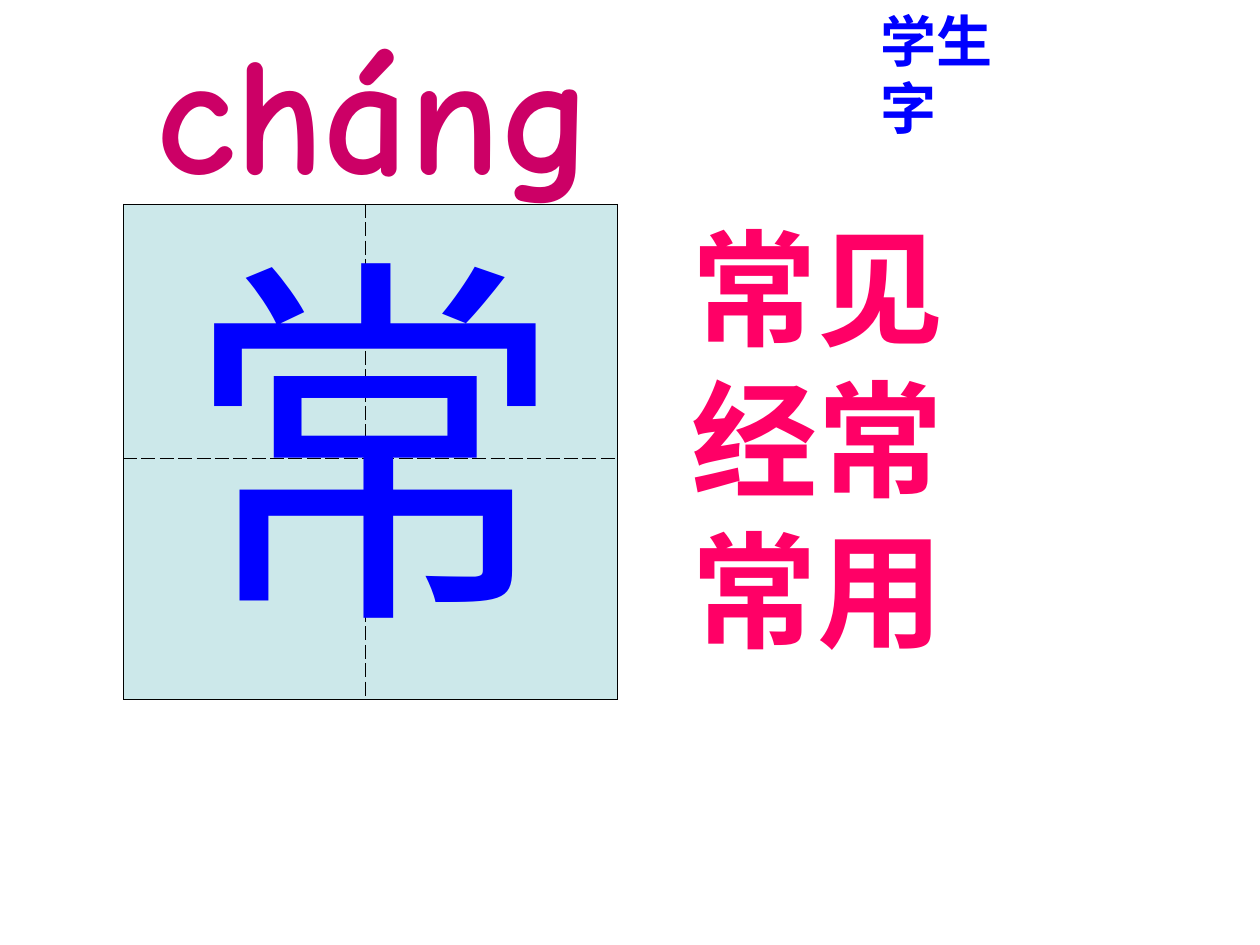
from lxml import etree
from pptx import Presentation
from pptx.dml.color import RGBColor
from pptx.enum.text import MSO_AUTO_SIZE as AUTO
from pptx.oxml.ns import qn
from pptx.util import Inches, Pt


def rgb(value):
    return RGBColor.from_string(value)


def add_border(cell, side, dash):
    ln = etree.SubElement(cell._tc.get_or_add_tcPr(), qn(f"a:ln{side}"), w=str(Pt(0.45)))
    fill = etree.SubElement(ln, qn("a:solidFill"))
    etree.SubElement(fill, qn("a:srgbClr"), val="000000")
    etree.SubElement(ln, qn("a:prstDash"), val=dash)


prs = Presentation()
prs.slide_width, prs.slide_height = Inches(10), Inches(7.5)
s = prs.slides.add_slide(prs.slide_layouts[6])

# Writing grid: solid outside, dashed cross inside
cols, rows = [1.92, 2], [2.02, 1.91]
table = s.shapes.add_table(2, 2, Inches(0.98), Inches(1.62),
                           Inches(sum(cols)), Inches(sum(rows))).table
table.first_row = table.horz_banding = False
for i in range(2):
    table.columns[i].width = Inches(cols[i])
    table.rows[i].height = Inches(rows[i])
for row in range(2):
    for col in range(2):
        cell = table.cell(row, col)
        inner = {"R" if col == 0 else "L", "B" if row == 0 else "T"}
        for side in "LRTB":
            add_border(cell, side, "dash" if side in inner else "solid")
        cell.fill.solid()
        cell.fill.fore_color.rgb = rgb("CCE8EA")

# Pinyin, character, example words and heading: box, wrap, lines, colour, font
texts = [
    ((1.14, 0, 4.65, 1.7), True, ["cháng"], "CC0066",
     dict(name="Comic Neue", size=Pt(96), bold=True)),
    ((1.34, 1.56, 3.25, 3.77), False, ["常"], "0000FF",
     dict(name="Arial", size=Pt(220), bold=False)),
    ((5.39, 1.62, 4.25, 3.7), True, ["常见", "经常", "常用"], "FF0066",
     dict(name="Arial", size=Pt(72), bold=True)),
    ((6.89, 0, 1.53, 0.64), False, ["学生字"], "0000FF",
     dict(name="Times New Roman", size=Pt(32), bold=True)),
]
for box, wrap, lines, color, style in texts:
    tf = s.shapes.add_textbox(*map(Inches, box)).text_frame
    tf.word_wrap = wrap
    tf.auto_size = AUTO.SHAPE_TO_FIT_TEXT
    for i, line in enumerate(lines):
        p = tf.add_paragraph() if i else tf.paragraphs[0]
        r = p.add_run()
        r.text = line
        r.font.color.rgb = rgb(color)
        for key, value in style.items():
            setattr(r.font, key, value)

prs.save("out.pptx")
